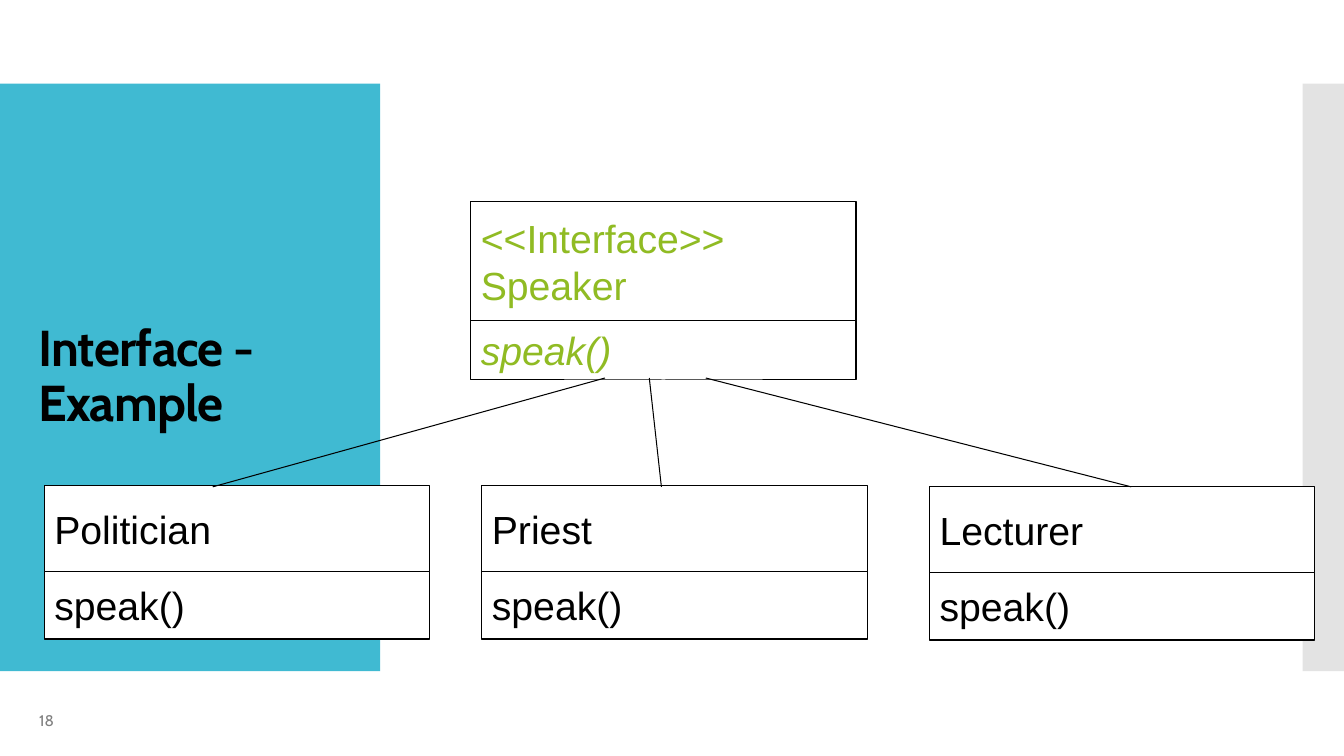
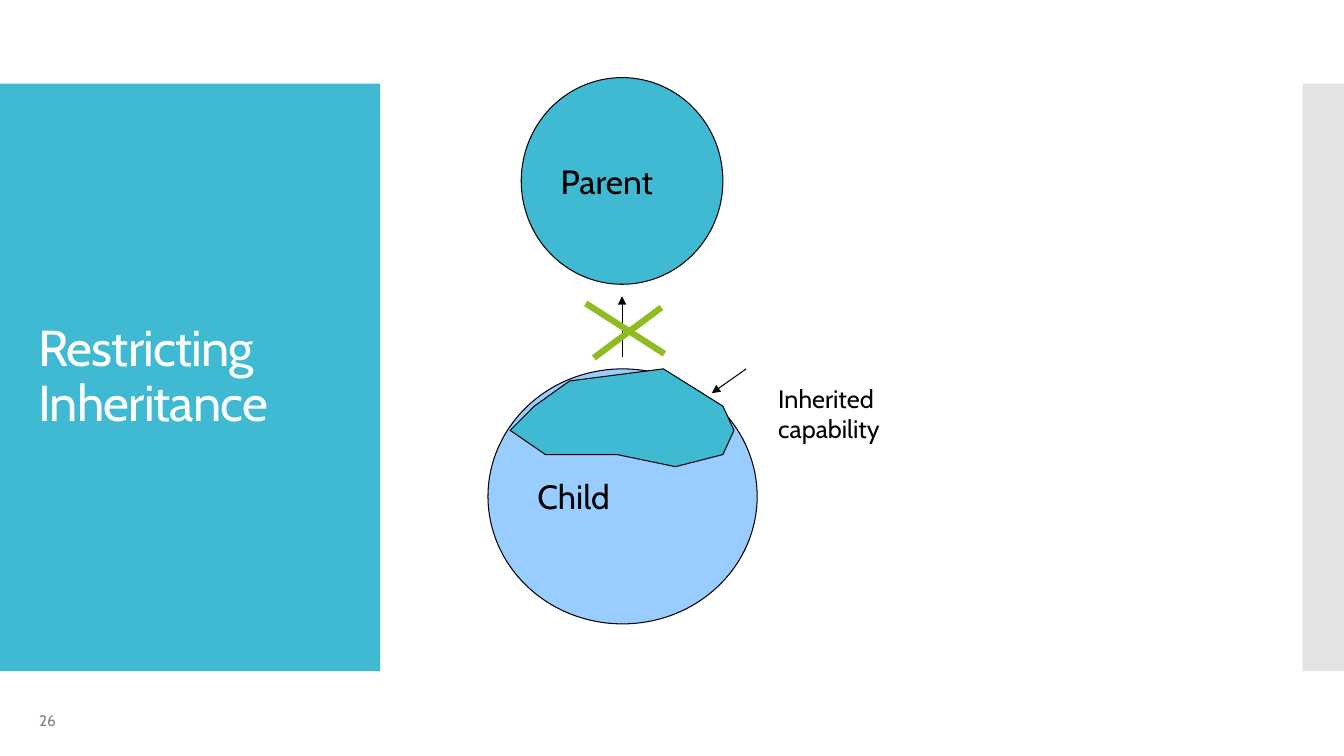
import pptx
import pptx.dml.color
import pptx.enum.shapes
import pptx.enum.text
import pptx.oxml
import pptx.oxml.ns
import pptx.util

Inches = pptx.util.Inches
Pt = pptx.util.Pt
SHAPE = pptx.enum.shapes.MSO_SHAPE
ANCHOR = pptx.enum.text.MSO_ANCHOR

TEAL, GRAY, GREEN, SKY = "40BAD2", "C8C8C8", "90BB23", "99CCFF"
BLACK, WHITE, NUMBER_GRAY = "000000", "FFFFFF", "808080"


def color(hex_code):
    return pptx.dml.color.RGBColor.from_string(hex_code)


def add_xml(parent, tag, **attributes):
    child = pptx.oxml.parse_xml(f"<a:{tag} {pptx.oxml.ns.nsdecls('a')}/>")
    for key, value in attributes.items():
        child.set(key, value)
    parent.append(child)


def write(frame, text, size=28, font="Cabin", ink=BLACK, bold=False, italic=False,
          anchor=ANCHOR.MIDDLE, wrap=True, line_spacing=None, tracking=None):
    """Fill a text frame; a newline starts a paragraph, a vertical tab a line."""
    frame.text = text
    frame.word_wrap = wrap
    frame.auto_size = pptx.enum.text.MSO_AUTO_SIZE.NONE
    frame.vertical_anchor = anchor
    for paragraph in frame.paragraphs:
        paragraph.alignment = pptx.enum.text.PP_ALIGN.LEFT
        if line_spacing:
            paragraph.line_spacing = line_spacing
        for run in paragraph.runs:
            run.font.name = font
            run.font.size = Pt(size)
            run.font.bold = bold
            run.font.italic = italic
            run.font.color.rgb = color(ink)
            if tracking:
                run.font._element.set("spc", str(round(tracking * 100)))


class Deck:
    """The shared style and the slide being drawn."""

    def __init__(self):
        self.show = pptx.Presentation()
        self.show.slide_width = Inches(13.33)
        self.show.slide_height = Inches(7.5)
        self.slide = None

    def new_slide(self, title, number, **title_format):
        self.slide = self.show.slides.add_slide(self.show.slide_layouts[5])
        # Side bands
        self.shape(SHAPE.RECTANGLE, 0, 0.83, 3.77, 5.83, TEAL, outline=None)
        side_band = self.shape(SHAPE.RECTANGLE, 12.92, 0.83, 0.41, 5.83, GRAY, outline=None)
        add_xml(side_band.fill._xPr.solidFill[0], "alpha", val="50000")
        # Title, brought in front of the bands
        heading = self.slide.shapes.title
        self.slide.shapes._spTree.append(heading._element)
        heading.left, heading.top = Inches(0.28), Inches(1.23)
        heading.width, heading.height = Inches(3.22), Inches(5.03)
        write(heading.text_frame, title, size=36, line_spacing=0.9, tracking=-0.6,
              **title_format)
        # Slide number
        self.label(0.29, 6.95, 3, 0.4, str(number), size=11, ink=NUMBER_GRAY)

    def finish(self, shape, fill, outline):
        shape.shadow.inherit = False
        shape.fill.solid()
        shape.fill.fore_color.rgb = color(fill)
        if outline:
            shape.line.color.rgb = color(outline)
            shape.line.width = Pt(0.75)
        else:
            shape.line.fill.background()
        return shape

    def shape(self, kind, left, top, width, height, fill, outline=BLACK, text=None,
              **text_format):
        shape = self.slide.shapes.add_shape(
            kind, Inches(left), Inches(top), Inches(width), Inches(height))
        if text:
            write(shape.text_frame, text, **text_format)
        return self.finish(shape, fill, outline)

    def outline(self, points, fill):
        start, *rest = [(Inches(x), Inches(y)) for x, y in points]
        builder = self.slide.shapes.build_freeform(*start)
        builder.add_line_segments(rest, close=True)
        return self.finish(builder.convert_to_shape(), fill, BLACK)

    def label(self, left, top, width, height, text, **text_format):
        box = self.slide.shapes.add_textbox(
            Inches(left), Inches(top), Inches(width), Inches(height))
        write(box.text_frame, text, **text_format)

    def line(self, start, end, ink=BLACK, weight=0.75, arrow=False):
        line = self.slide.shapes.add_connector(
            pptx.enum.shapes.MSO_CONNECTOR.STRAIGHT,
            *[Inches(length) for length in (*start, *end)])
        line.line.color.rgb = color(ink)
        line.line.width = Pt(weight)
        if arrow:
            add_xml(line.line._ln, "tailEnd", type="triangle")
        add_xml(line._element.spPr, "effectLst")

    def class_box(self, left, top, name, name_height, method_height, ink=BLACK,
                  abstract=False):
        """A class: its name above its one method."""
        style = {"font": "Arial", "ink": ink}
        self.shape(SHAPE.RECTANGLE, left, top + name_height, 3.82, method_height, WHITE,
                   text="speak()", italic=abstract, **style)
        self.shape(SHAPE.RECTANGLE, left, top, 3.82, name_height, WHITE, text=name, **style)


def interface_example(deck):
    deck.new_slide("Interface - Example", 18, bold=True)
    deck.class_box(4.67, 2, "<<Interface>>\nSpeaker", 1.18, 0.59, ink=GREEN, abstract=True)
    # Each speaker: name, box corner, and the two ends of its line
    speakers = [
        ("Politician", 0.44, 4.82, 6, 2.11),
        ("Priest", 4.78, 4.82, 6.44, 6.56),
        ("Lecturer", 9.22, 4.83, 7, 11.22),
    ]
    for name, left, top, interface_x, speaker_x in speakers:
        deck.class_box(left, top, name, 0.85, 0.67)
        deck.line((interface_x, 3.75), (speaker_x, 4.83))


def restricting_inheritance(deck):
    deck.new_slide("Restricting Inheritance", 26, ink=WHITE)
    # Parent and child
    deck.shape(SHAPE.OVAL, 5.17, 0.77, 2, 2.05, TEAL, text="Parent", size=24)
    deck.shape(SHAPE.OVAL, 4.84, 3.66, 2.67, 2.53, SKY, text="Child", size=24)
    deck.line((6.17, 3.54), (6.17, 2.94), arrow=True)
    # Inherited part of the child
    deck.outline([(5.06, 4.27), (5.41, 4.51), (6.12, 4.51), (6.7, 4.63), (7.17, 4.51),
                  (7.28, 4.27), (7.17, 4.03), (6.58, 3.66), (5.65, 3.78), (5.3, 4.03)],
                 TEAL)
    deck.line((7.4, 3.66), (7.06, 3.9), arrow=True)
    deck.label(7.62, 3.75, 1.21, 0.71, "Inherited\vcapability", size=18,
               anchor=ANCHOR.TOP, wrap=False)
    # Cross over the inheritance arrow
    for start, end in [((5.81, 3.01), (6.59, 3.51)), ((6.56, 3.05), (5.89, 3.55))]:
        deck.line(start, end, ink=GREEN, weight=4.5)


def main():
    deck = Deck()
    interface_example(deck)
    restricting_inheritance(deck)
    deck.show.save("out.pptx")


if __name__ == "__main__":
    main()
